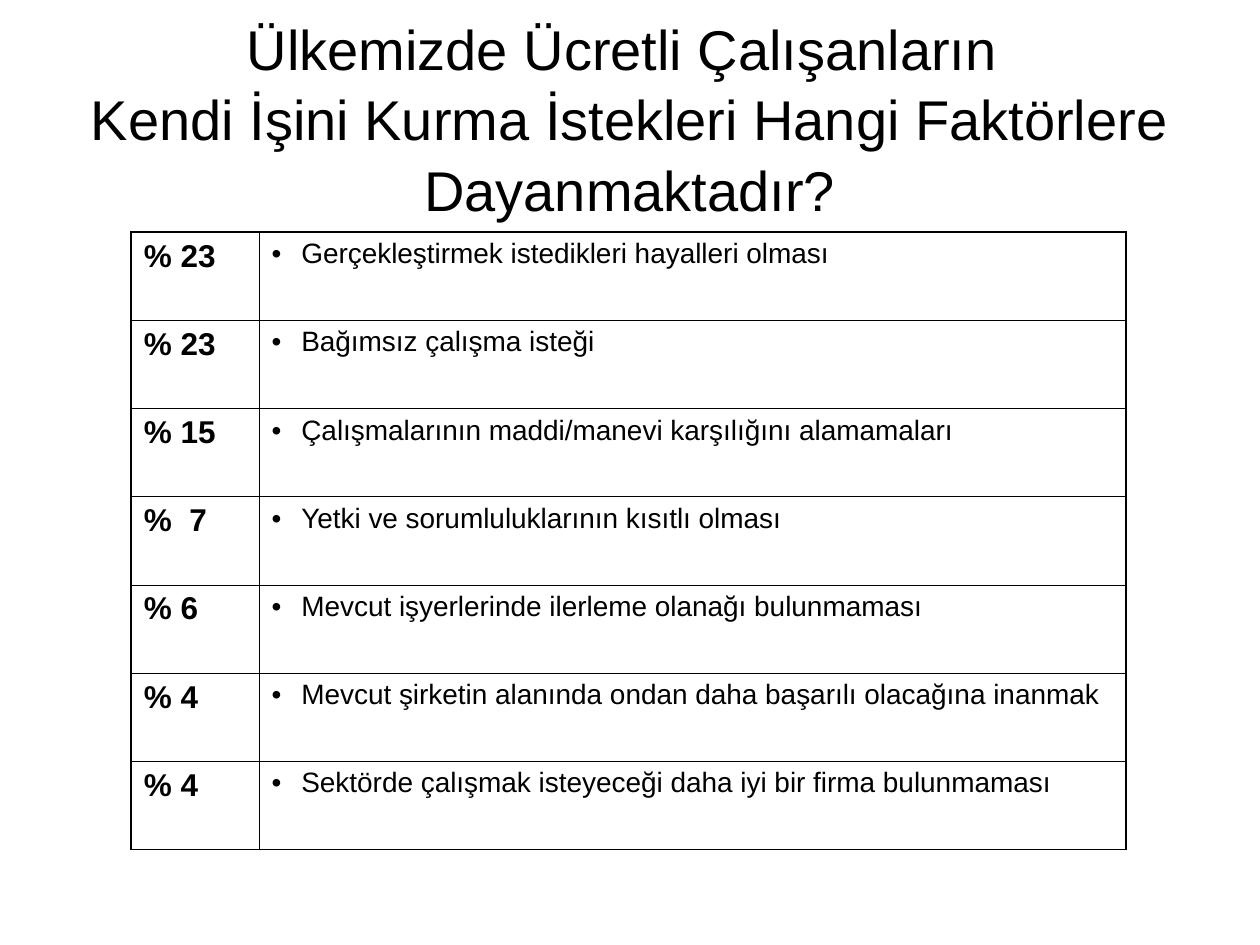
from lxml import etree
from pptx import Presentation
from pptx.dml.color import RGBColor
from pptx.enum import text
from pptx.oxml import ns
from pptx.util import Pt

TITLE_LINES = [
    "Ülkemizde Ücretli Çalışanların ",
    "Kendi İşini Kurma İstekleri Hangi Faktörlere Dayanmaktadır?",
]
FACTORS = [
    ("% 23", "Gerçekleştirmek istedikleri hayalleri olması"),
    ("% 23", "Bağımsız çalışma isteği"),
    ("% 15", "Çalışmalarının maddi/manevi karşılığını alamamaları"),
    ("%  7", "Yetki ve sorumluluklarının kısıtlı olması"),
    ("% 6", "Mevcut işyerlerinde ilerleme olanağı bulunmaması"),
    ("% 4", "Mevcut şirketin alanında ondan daha başarılı olacağına inanmak"),
    ("% 4", "Sektörde çalışmak isteyeceği daha iyi bir firma bulunmaması"),
]
FONT, INK = "Arial", "000000"
COLUMN_WIDTHS = (73, 495.5)
ROW_HEIGHT = 50.4
TABLE_LEFT, TABLE_TOP = 75, 132.7
OUTER_LINE, INNER_LINE = 1.08, 0.45
BULLET_INDENT = 17


def add_run(paragraph, words, size, bold=False, color=INK):
    run = paragraph.add_run()
    run.text = words
    run.font.name, run.font.size, run.font.bold = FONT, Pt(size), bold
    run.font.color.rgb = RGBColor.from_string(color)


def add_bullet(paragraph):
    properties = paragraph._p.get_or_add_pPr()
    properties.set("marL", str(Pt(BULLET_INDENT)))
    properties.set("indent", str(-Pt(BULLET_INDENT)))
    etree.SubElement(properties, ns.qn("a:buFont"), typeface=FONT)
    etree.SubElement(properties, ns.qn("a:buChar"), char="•")


def add_border(cell, side, width, color=INK):
    properties = cell._tc.get_or_add_tcPr()
    line = etree.SubElement(properties, ns.qn(f"a:ln{side}"), w=str(Pt(width)))
    fill = etree.SubElement(line, ns.qn("a:solidFill"))
    etree.SubElement(fill, ns.qn("a:srgbClr"), val=color)


def add_title(slide):
    title = slide.shapes.title
    title.left, title.top, title.width, title.height = Pt(36), Pt(21.6), Pt(648), Pt(90)
    frame = title.text_frame
    frame.auto_size = text.MSO_AUTO_SIZE.NONE
    frame.word_wrap = True
    frame.vertical_anchor = text.MSO_ANCHOR.MIDDLE
    paragraph = frame.paragraphs[0]
    paragraph.alignment = text.PP_ALIGN.CENTER
    paragraph.line_spacing = 1.05
    for index, line in enumerate(TITLE_LINES):
        if index:
            paragraph.add_line_break()
        add_run(paragraph, line, 32)


def add_factor_table(slide):
    rows, columns = len(FACTORS), len(COLUMN_WIDTHS)
    table = slide.shapes.add_table(
        rows, columns, Pt(TABLE_LEFT), Pt(TABLE_TOP),
        Pt(sum(COLUMN_WIDTHS)), Pt(rows * ROW_HEIGHT)).table
    table.first_row = table.horz_banding = False
    for column, width in zip(table.columns, COLUMN_WIDTHS):
        column.width = Pt(width)

    for r, (share, factor) in enumerate(FACTORS):
        table.rows[r].height = Pt(ROW_HEIGHT)
        share_cell, factor_cell = table.cell(r, 0), table.cell(r, 1)
        add_run(share_cell.text_frame.paragraphs[0], share, 18, bold=True)
        factor_paragraph = factor_cell.text_frame.paragraphs[0]
        add_bullet(factor_paragraph)
        add_run(factor_paragraph, factor, 16)
        for c, cell in enumerate((share_cell, factor_cell)):
            outer_sides = {"L": c == 0, "R": c == columns - 1,
                           "T": r == 0, "B": r == rows - 1}
            for side, is_outer in outer_sides.items():
                add_border(cell, side, OUTER_LINE if is_outer else INNER_LINE)
            cell.fill.background()


def main():
    presentation = Presentation()
    presentation.slide_width, presentation.slide_height = Pt(720), Pt(540)
    slide = presentation.slides.add_slide(presentation.slide_layouts[5])
    add_title(slide)
    add_factor_table(slide)
    presentation.save("out.pptx")


if __name__ == "__main__":
    main()
